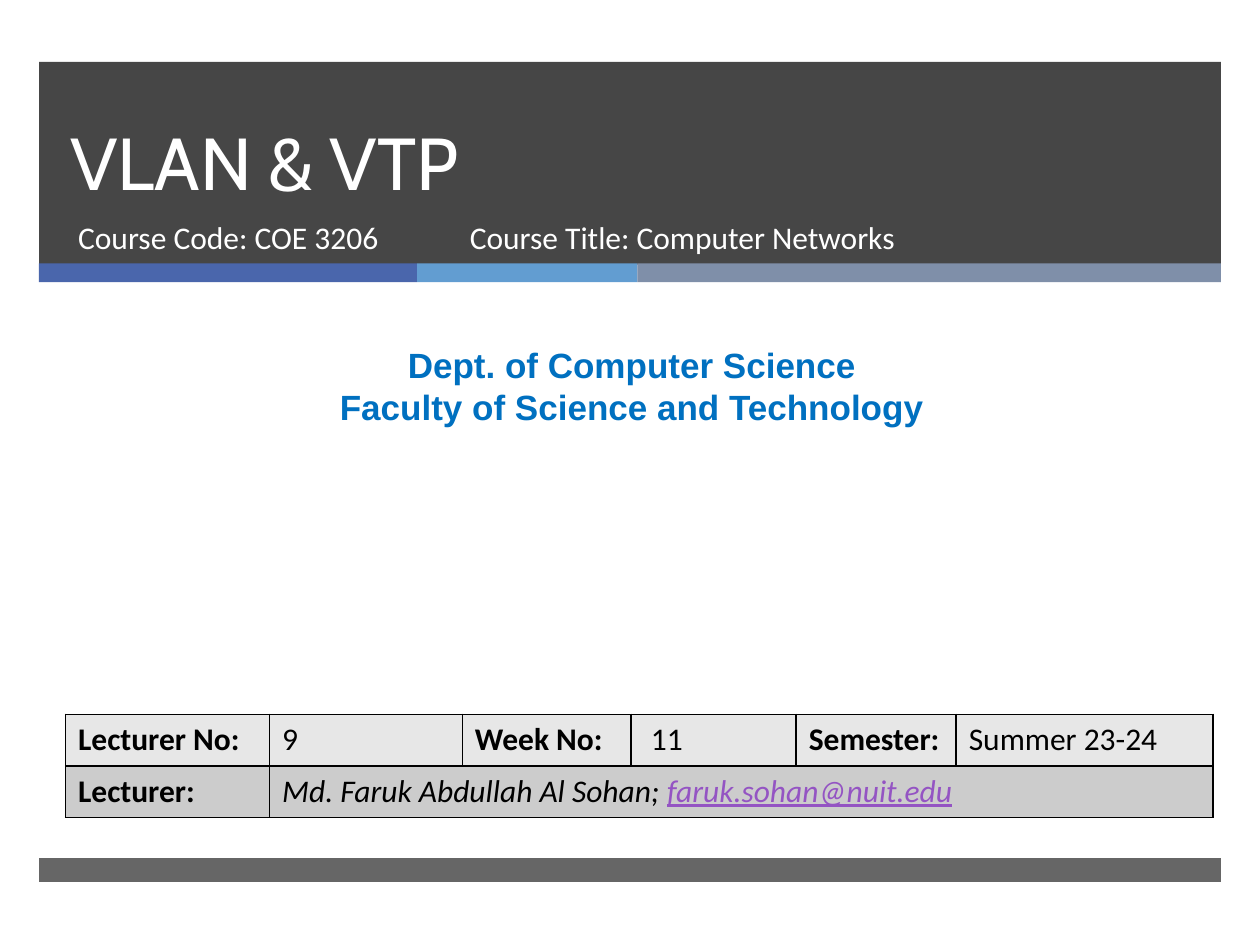
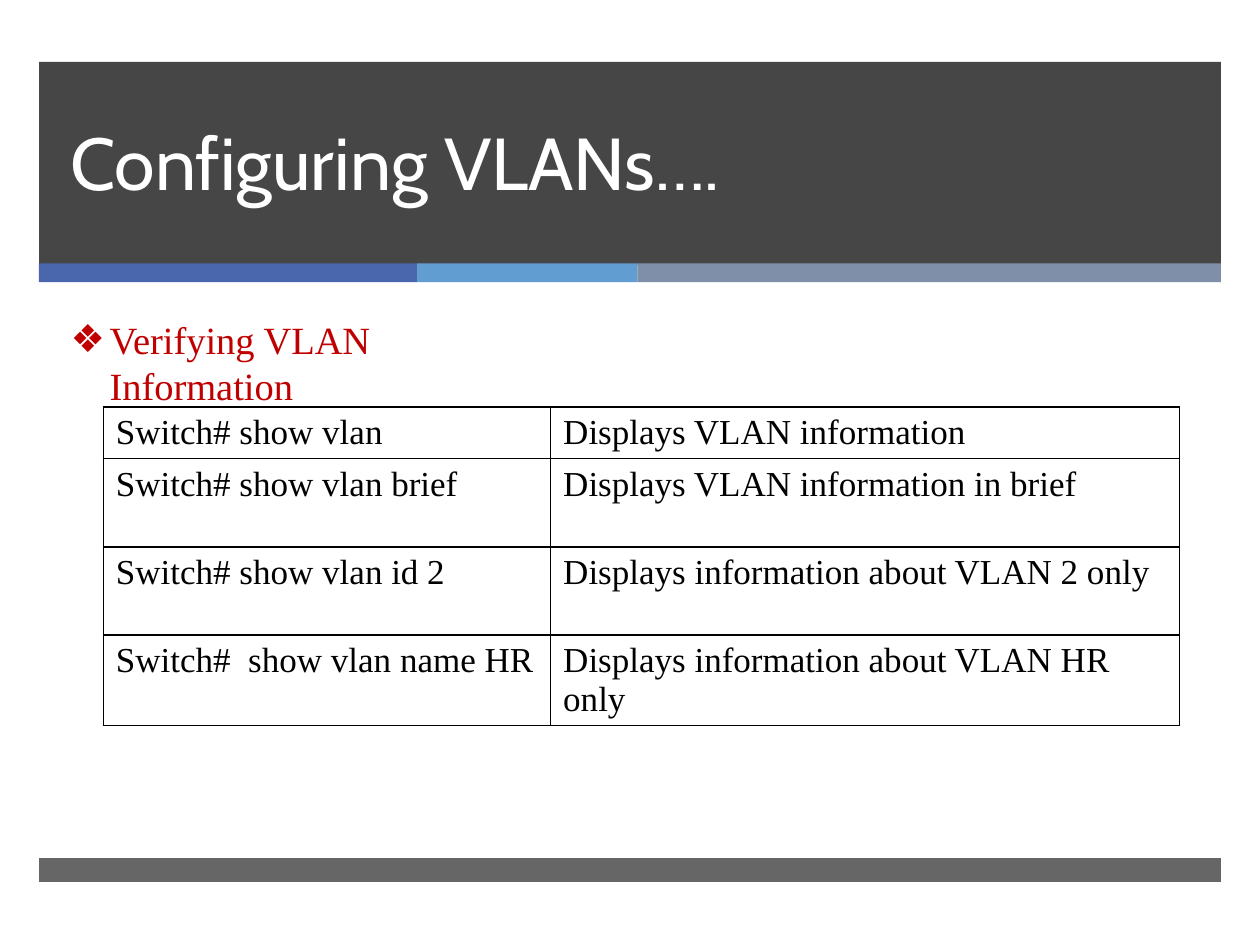
from dataclasses import dataclass
from typing import Optional

from lxml.etree import SubElement
from pptx import Presentation
from pptx.dml.color import RGBColor
from pptx.enum.shapes import MSO_SHAPE
from pptx.enum.text import MSO_ANCHOR, MSO_AUTO_SIZE, PP_ALIGN
from pptx.oxml.ns import qn
from pptx.util import Inches, Pt

# Shared palette and fonts
WHITE, BLACK, CHARCOAL = "FFFFFF", "000000", "262626"
HEADING_BLUE, LINK_PURPLE, LIST_RED = "0070C0", "9454C3", "C00000"
ROW_GREYS = ["E7E7E7", "CCCCCC"]
TITLE_FONT, LABEL_FONT, HEADING_FONT, BODY_FONT = "Cabin", "Calibri", "Arial", "Times New Roman"


@dataclass(frozen=True)
class Box:
    left: float
    top: float
    width: float
    height: float

    def lengths(self):
        return [Inches(v) for v in (self.left, self.top, self.width, self.height)]


@dataclass(frozen=True)
class Band:
    box: Box
    color: str
    opacity: int = 100


@dataclass(frozen=True)
class TextStyle:
    font: str
    size: float
    color: str = BLACK
    bold: bool = False


@dataclass(frozen=True)
class TextRun:
    text: str
    bold: bool = False
    italic: bool = False
    underline: bool = False
    color: Optional[str] = None


TITLE_BOX = Box(0.46, 0.49, 8.54, 1.19)
TITLE_STYLE = TextStyle(TITLE_FONT, 42, WHITE)
COURSE_STYLE = TextStyle(LABEL_FONT, 18, WHITE)
BANDS = [
    Band(Box(0.31, 0.49, 9.38, 1.61), CHARCOAL, 85),
    Band(Box(0.31, 2.09, 3, 0.15), "4A66AC"),
    Band(Box(3.31, 2.09, 1.75, 0.15), "629DD1"),
    Band(Box(5.06, 2.09, 4.63, 0.15), "7F8FA9"),
    Band(Box(0.31, 6.81, 9.38, 0.19), CHARCOAL, 70),
]


def rgb(color: str) -> RGBColor:
    return RGBColor.from_string(color)


def style_run(run, style: TextStyle) -> None:
    run.font.name = style.font
    run.font.size = Pt(style.size)
    run.font.bold = style.bold
    run.font.color.rgb = rgb(style.color)


def write_text(shape, box: Box, text: str, style: TextStyle, align=PP_ALIGN.LEFT,
               anchor=MSO_ANCHOR.TOP) -> None:
    shape.left, shape.top, shape.width, shape.height = box.lengths()
    text_frame = shape.text_frame
    text_frame.text = text
    text_frame.word_wrap = True
    text_frame.auto_size = MSO_AUTO_SIZE.NONE
    text_frame.vertical_anchor = anchor
    for paragraph in text_frame.paragraphs:
        paragraph.alignment = align
        paragraph.space_before = Pt(0)
        for run in paragraph.runs:
            style_run(run, style)


def add_text(slide, box: Box, text: str, style: TextStyle, align=PP_ALIGN.LEFT) -> None:
    write_text(slide.shapes.add_textbox(*box.lengths()), box, text, style, align)


def write_title(slide, text: str) -> None:
    title = slide.shapes.title
    write_text(title, TITLE_BOX, text, TITLE_STYLE, anchor=MSO_ANCHOR.BOTTOM)
    title.text_frame.paragraphs[0].line_spacing = Pt(46)


def add_bands_to_layout(slide) -> None:
    """Draw the bands, then move them to the layout that all slides share."""
    layout_tree = slide.slide_layout.shapes.element
    for index, band in enumerate(BANDS):
        shape = slide.shapes.add_shape(MSO_SHAPE.RECTANGLE, *band.box.lengths())
        shape.name = f"Band {index + 1}"
        shape.shadow.inherit = False
        shape.line.fill.background()
        shape.fill.solid()
        shape.fill.fore_color.rgb = rgb(band.color)
        if band.opacity < 100:
            color = shape.element.find(".//" + qn("a:srgbClr"))
            SubElement(color, qn("a:alpha"), val=str(band.opacity * 1000))
        shape.element.find(".//" + qn("p:cNvPr")).set("id", str(20 + index))
        layout_tree.insert(2 + index, shape.element)


def set_bullet(paragraph, character: str, indent: float) -> None:
    properties = paragraph._p.get_or_add_pPr()
    properties.set("marL", str(Inches(indent)))
    properties.set("indent", str(-Inches(indent)))
    SubElement(properties, qn("a:buChar"), char=character)


def set_borders(cell, color: str = BLACK, width: float = 1) -> None:
    properties = cell._tc.get_or_add_tcPr()
    for index, side in enumerate(("lnL", "lnR", "lnT", "lnB")):
        line = SubElement(properties, qn(f"a:{side}"), w=str(Pt(width)))
        fill = SubElement(line, qn("a:solidFill"))
        SubElement(fill, qn("a:srgbClr"), val=color)
        properties.insert(index, line)


def write_cell(cell, runs: list[TextRun], style: TextStyle) -> None:
    paragraph = cell.text_frame.paragraphs[0]
    for item in runs:
        run = paragraph.add_run()
        run.text = item.text
        style_run(run, style)
        run.font.bold = item.bold
        run.font.italic = item.italic
        run.font.underline = item.underline
        run.font.color.rgb = rgb(item.color or style.color)


def add_grid(slide, left: float, top: float, columns: list[float], heights: list[float],
             rows: list[list[list[TextRun]]], style: TextStyle,
             fills: Optional[list[str]] = None):
    box = Box(left, top, sum(columns), sum(heights))
    table = slide.shapes.add_table(len(heights), len(columns), *box.lengths()).table
    table.first_row = table.horz_banding = False
    for column, width in zip(table.columns, columns):
        column.width = Inches(width)
    for row_index, (row, height) in enumerate(zip(table.rows, heights)):
        row.height = Inches(height)
        for cell in row.cells:
            if fills:
                cell.fill.solid()
                cell.fill.fore_color.rgb = rgb(fills[row_index])
            else:
                cell.fill.background()
            set_borders(cell)
        for cell, runs in zip(row.cells, rows[row_index]):
            write_cell(cell, runs, style)
    return table


def build_cover(slide) -> None:
    # Title band
    write_title(slide, "VLAN & VTP")
    write_text(slide.placeholders[1], Box(0.52, 1.68, 3.05, 0.53),
               "Course Code: COE 3206", COURSE_STYLE)
    add_text(slide, Box(3.63, 1.68, 4.55, 0.53), "Course Title: Computer Networks", COURSE_STYLE)

    # Department
    add_text(slide, Box(0.08, 2.68, 9.87, 0.77),
             "Dept. of Computer Science\nFaculty of Science and Technology",
             TextStyle(HEADING_FONT, 20, HEADING_BLUE, True), PP_ALIGN.CENTER)

    # Lecture details: bold labels alternate with plain values
    details = ["Lecturer No:", "9", "Week No:", "\u00a011".replace("\u00a0", " "),
               "Semester:", "Summer 23-24"]
    lecturer = [
        TextRun("Md. Faruk Abdullah Al Sohan; ", italic=True),
        TextRun("faruk.sohan@nuit.edu", italic=True, underline=True, color=LINK_PURPLE),
    ]
    rows = [
        [[TextRun(text, bold=index % 2 == 0)] for index, text in enumerate(details)],
        [[TextRun("Lecturer:", bold=True)], lecturer],
    ]
    table = add_grid(slide, 0.52, 5.67, [1.62, 1.53, 1.34, 1.31, 1.27, 2.04], [0.41, 0.41],
                     rows, TextStyle(LABEL_FONT, 18), ROW_GREYS)
    table.cell(1, 1).merge(table.cell(1, 5))


def build_verification(slide) -> None:
    write_title(slide, "Configuring VLANs….")

    # Command table
    commands = [
        ("Switch# show vlan", "Displays VLAN information"),
        ("Switch# show vlan brief", "Displays VLAN information in brief"),
        ("Switch# show vlan id 2", "Displays information about VLAN 2 only"),
        ("Switch#  show vlan name HR", "Displays information about VLAN HR only"),
    ]
    rows = [[[TextRun(text)] for text in command] for command in commands]
    add_grid(slide, 0.82, 3.23, [3.55, 4.99], [0.41, 0.7, 0.7, 0.71], rows,
             TextStyle(BODY_FONT, 20))

    # Bulleted heading above the table
    heading = slide.placeholders[1]
    write_text(heading, Box(0.46, 2.46, 3.69, 0.47), "Verifying VLAN Information",
               TextStyle(BODY_FONT, 22, LIST_RED))
    set_bullet(heading.text_frame.paragraphs[0], "❖", 0.31)


def main() -> None:
    presentation = Presentation()
    presentation.slide_width, presentation.slide_height = Inches(10), Inches(7.5)
    layout = presentation.slide_layouts[0]
    cover = presentation.slides.add_slide(layout)
    add_bands_to_layout(cover)
    build_cover(cover)
    build_verification(presentation.slides.add_slide(layout))
    presentation.save("out.pptx")


if __name__ == "__main__":
    main()
